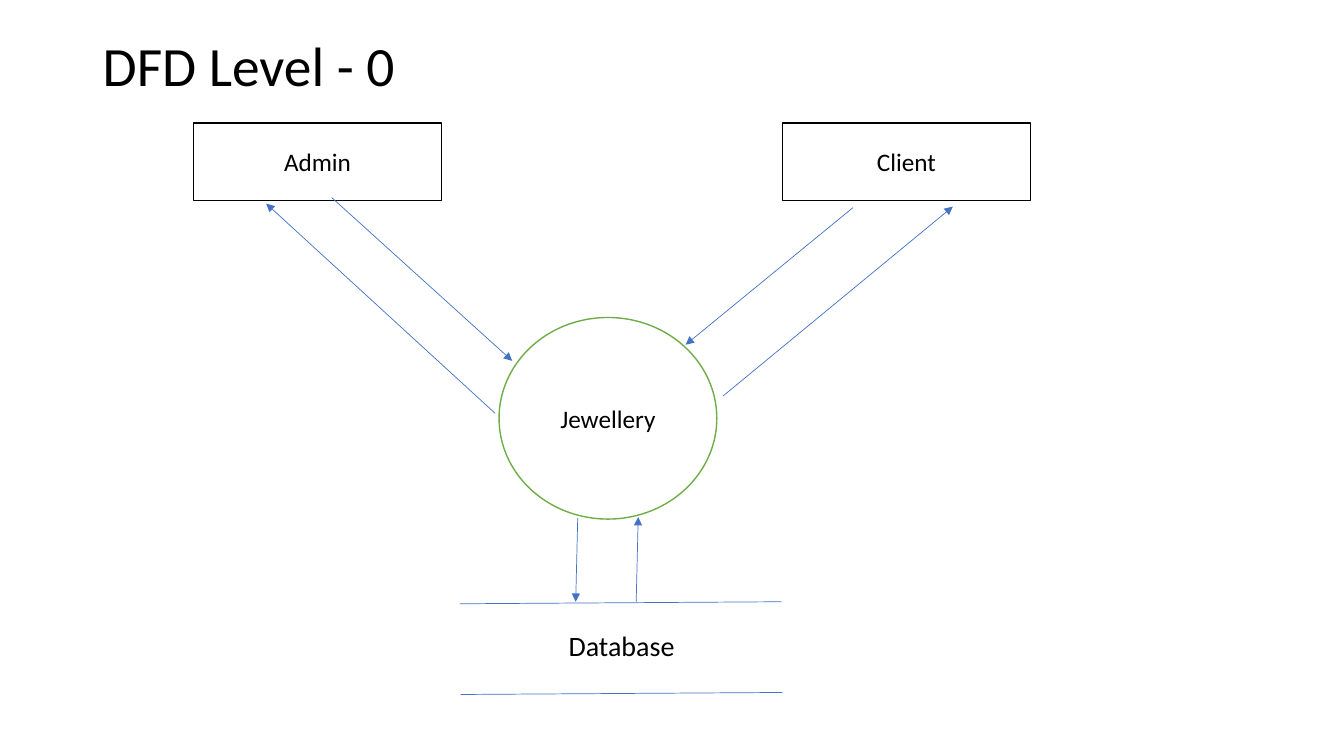
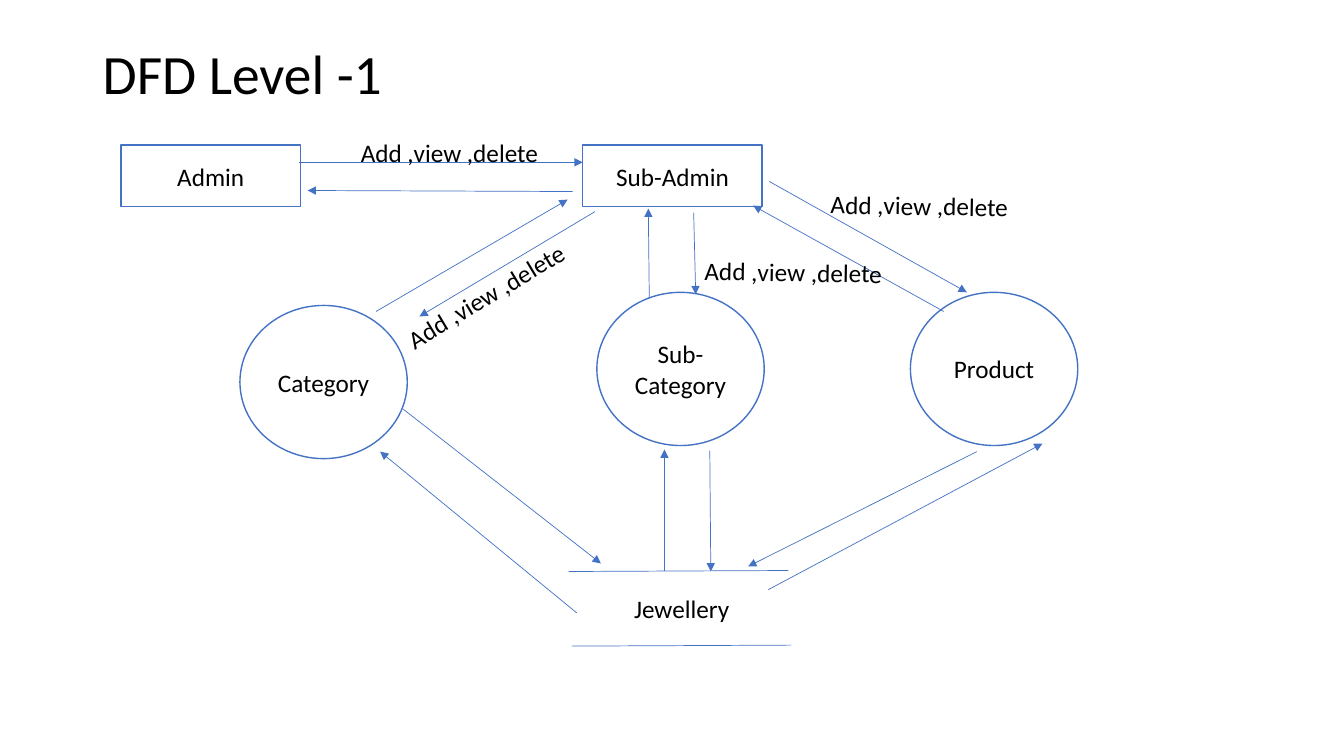
"""Build the level 0 and level 1 data flow diagrams of a jewellery shop."""
from lxml import etree
from pptx import Presentation
from pptx.dml.color import RGBColor
from pptx.enum import shapes, text
from pptx.oxml import ns
from pptx.util import Inches, Pt

BLACK = RGBColor(0x00, 0x00, 0x00)
WHITE = RGBColor(0xFF, 0xFF, 0xFF)
BLUE = RGBColor(0x44, 0x72, 0xC4)
GREEN = RGBColor(0x70, 0xAD, 0x47)
FONT = "Calibri"
RECTANGLE = shapes.MSO_SHAPE.RECTANGLE
OVAL = shapes.MSO_SHAPE.OVAL
LEFT = text.PP_ALIGN.LEFT
CENTER = text.PP_ALIGN.CENTER
TOP = text.MSO_ANCHOR.TOP
MIDDLE = text.MSO_ANCHOR.MIDDLE
ACTIONS = "Add ,view ,delete"


def write(shape, words, size, alignment=LEFT, anchor=TOP):
    frame = shape.text_frame
    frame.text = words
    frame.word_wrap = True
    frame.vertical_anchor = anchor
    paragraph = frame.paragraphs[0]
    paragraph.alignment = alignment
    font = paragraph.runs[0].font
    font.name = FONT
    font.size = Pt(size)
    font.color.rgb = BLACK
    return paragraph


def draw_line(slide, ends, arrow):
    line = slide.shapes.add_connector(
        shapes.MSO_CONNECTOR.STRAIGHT, *[Inches(end) for end in ends])
    line.line.color.rgb = BLUE
    line.line.width = Pt(0.5)
    if arrow:
        outline = line.line._get_or_add_ln()
        etree.SubElement(outline, ns.qn("a:tailEnd"), type="triangle")
    etree.SubElement(line._element.spPr, ns.qn("a:effectLst"))


LEVEL_0 = {
    "title": ("DFD Level - 0", 0.56),
    "nodes": [
        ("Admin", RECTANGLE, 1.92, 1.22, 2.46, 0.77, BLACK),
        ("Client", RECTANGLE, 7.76, 1.22, 2.46, 0.77, BLACK),
        ("Jewellery", OVAL, 4.95, 3.15, 2.16, 2, GREEN),
    ],
    "store_edges": [(4.56, 5.99, 7.75, 5.97), (4.57, 6.89, 7.76, 6.87)],
    "flows": [
        (3.29, 1.96, 5.08, 3.58), (4.91, 4.1, 2.64, 2.02),
        (8.46, 2.06, 6.8, 3.42), (7.17, 3.93, 9.45, 2.05),
        (5.73, 5.14, 5.71, 5.97), (6.31, 5.97, 6.33, 5.13),
    ],
    "labels": [("Database", 5.54, 6.19, 1.48, 0.44, 20, 0)],
}

LEVEL_1 = {
    "title": ("DFD Level -1", 0.72),
    "nodes": [
        ("Admin", RECTANGLE, 1.2, 1.44, 1.78, 0.61, BLUE),
        ("Sub-Admin", RECTANGLE, 5.78, 1.44, 1.78, 0.61, BLUE),
        ("Category", OVAL, 2.38, 3.03, 1.66, 1.52, BLUE),
        ("Sub-Category", OVAL, 5.92, 2.9, 1.66, 1.52, BLUE),
        ("Product", OVAL, 9.03, 2.9, 1.66, 1.52, BLUE),
    ],
    "store_edges": [(5.64, 5.67, 7.82, 5.66), (5.67, 6.41, 7.85, 6.4)],
    "flows": [
        (2.97, 1.61, 5.78, 1.61), (5.68, 1.9, 3.05, 1.89),
        (5.9, 2.1, 4.16, 3.14), (3.73, 3.09, 5.63, 1.98),
        (6.88, 2.11, 6.9, 2.92), (6.44, 2.96, 6.43, 2.07),
        (7.63, 1.8, 9.59, 2.9), (9.36, 3.09, 7.47, 2.04),
        (4, 4.06, 5.96, 5.59), (5.72, 6.08, 3.77, 4.48),
        (7.04, 4.47, 7.05, 5.67), (6.59, 5.66, 6.59, 4.46),
        (9.69, 4.48, 7.42, 5.62), (7.62, 5.85, 10.34, 4.4),
    ],
    "labels": [
        ("Jewellery", 6.19, 5.84, 1.38, 0.4, 18, 0),
        (ACTIONS, 3.48, 1.31, 2.04, 0.4, 18, 0),
        (ACTIONS, 3.83, 2.7, 2.09, 0.4, 18, 329),
        (ACTIONS, 6.89, 2.5, 2.03, 0.4, 18, 1),
        (ACTIONS, 8.14, 1.84, 2.03, 0.4, 18, 1),
    ],
}

presentation = Presentation()
presentation.slide_width = Inches(13.33)
presentation.slide_height = Inches(7.5)

for diagram in (LEVEL_0, LEVEL_1):
    slide = presentation.slides.add_slide(presentation.slide_layouts[6])

    words, height = diagram["title"]
    title = slide.shapes.add_textbox(
        Inches(0.92), Inches(0.4), Inches(11.5), Inches(height))
    write(title, words, 39.6, anchor=MIDDLE).line_spacing = 0.9

    for words, outline, left, top, width, height, color in diagram["nodes"]:
        node = slide.shapes.add_shape(
            outline, Inches(left), Inches(top), Inches(width), Inches(height))
        node.shadow.inherit = False
        node.fill.solid()
        node.fill.fore_color.rgb = WHITE
        node.line.color.rgb = color
        node.line.width = Pt(1)
        write(node, words, 18, CENTER, MIDDLE)

    for edge in diagram["store_edges"]:
        draw_line(slide, edge, arrow=False)
    for flow in diagram["flows"]:
        draw_line(slide, flow, arrow=True)

    for words, left, top, width, height, size, angle in diagram["labels"]:
        label = slide.shapes.add_textbox(
            Inches(left), Inches(top), Inches(width), Inches(height))
        label.rotation = angle
        write(label, words, size)

presentation.save("out.pptx")
